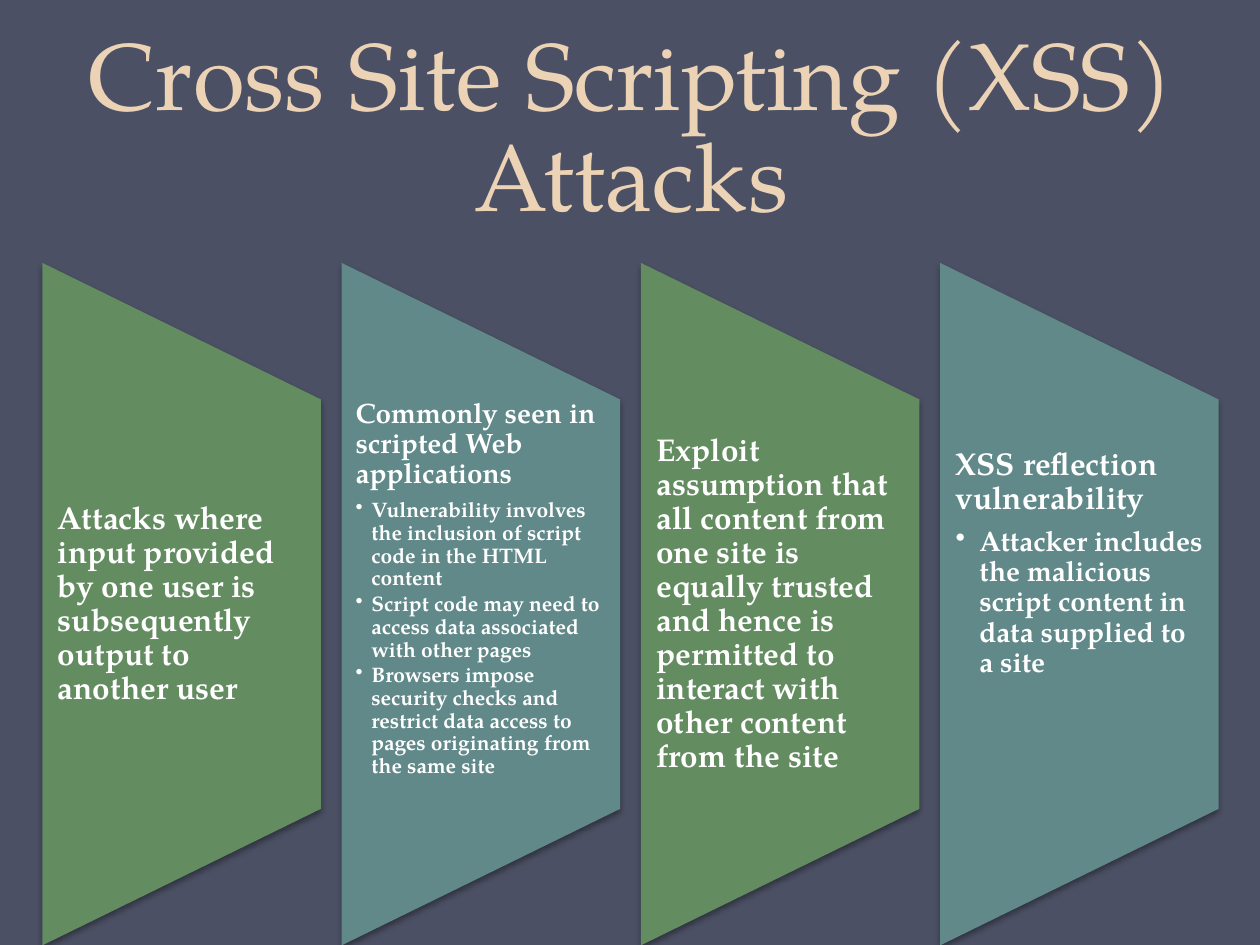
from dataclasses import dataclass

from lxml.etree import SubElement
from pptx import Presentation
from pptx.dml.color import RGBColor
from pptx.enum.shapes import MSO_SHAPE as Preset
from pptx.enum.text import MSO_ANCHOR as Anchor, PP_ALIGN as Align
from pptx.oxml.ns import qn
from pptx.shapes.autoshape import Shape
from pptx.slide import Slide
from pptx.text.text import _Paragraph as Paragraph
from pptx.util import Pt


@dataclass(frozen=True)
class Theme:
    font: str = "TeX Gyre Pagella"
    background: RGBColor = RGBColor(0x4B, 0x50, 0x64)
    title: RGBColor = RGBColor(0xED, 0xD3, 0xB6)
    text: RGBColor = RGBColor(0xFF, 0xFF, 0xFF)
    panels: tuple = (RGBColor(0x64, 0x8C, 0x61), RGBColor(0x61, 0x89, 0x8A))
    title_size: int = 54
    title_leading: int = 58
    large: int = 18
    medium: int = 16
    small: int = 12


@dataclass(frozen=True)
class Panel:
    heading: str
    heading_size: int
    bullets: tuple = ()
    bullet_size: int = 0
    bullet_indent: float = 0
    anchor: Anchor = Anchor.MIDDLE
    side_inset: float = 8.9
    top_inset: float = 0


THEME = Theme()

PANEL_LEFT, PANEL_PITCH, PANEL_WIDTH, PANEL_HEIGHT = 24.2, 171, 159.1, 390
PANEL_MIDDLE = 345.2
TEXT_HEIGHT = 234

PANELS = (
    Panel("Attacks where input provided by one user is subsequently output to another user",
          THEME.large),
    Panel("Commonly seen in scripted Web applications", THEME.medium,
          ("Vulnerability involves the inclusion of script code in the HTML content",
           "Script code may need to access data associated with other pages",
           "Browsers impose security checks and restrict data access to pages "
           "originating from the same site"),
          THEME.small, 9, Anchor.TOP, 8),
    Panel("Exploit assumption that all content from one site is equally trusted and hence "
          "is permitted to interact with other content from the site", THEME.large),
    Panel("XSS reflection vulnerability", THEME.large,
          ("Attacker includes the malicious script content in data supplied to a site",),
          THEME.medium, 13.5, Anchor.TOP, top_inset=28),
)


def format_runs(paragraph: Paragraph, size: float, color: RGBColor, bold: bool) -> None:
    for run in paragraph.runs:
        run.font.name = THEME.font
        run.font.size = Pt(size)
        run.font.bold = bold
        run.font.color.rgb = color


def add_shadow(shape: Shape) -> None:
    effects = SubElement(shape._element.spPr, qn("a:effectLst"))
    shadow = SubElement(effects, qn("a:outerShdw"), blurRad=str(Pt(3.1)),
                        dist=str(Pt(1.8)), dir="5400000", rotWithShape="0")
    color = SubElement(shadow, qn("a:srgbClr"), val="000000")
    SubElement(color, qn("a:alpha"), val="35000")


def add_bullet(paragraph: Paragraph, indent: float) -> None:
    properties = paragraph._p.get_or_add_pPr()
    properties.set("marL", str(Pt(indent)))
    properties.set("indent", str(-Pt(indent)))
    SubElement(properties, qn("a:buChar"), char="•")
    paragraph.level = 1


def format_panel_paragraph(paragraph: Paragraph, size: float, gap: float) -> None:
    paragraph.line_spacing = 0.9
    paragraph.space_after = Pt(round(size * gap, 1))
    format_runs(paragraph, size, THEME.text, True)


def draw_title(slide: Slide, text: str) -> None:
    frame = slide.shapes.add_textbox(Pt(36.7), Pt(9.4), Pt(648), Pt(126)).text_frame
    frame.word_wrap = True
    frame.vertical_anchor = Anchor.BOTTOM
    frame.text = text
    paragraph = frame.paragraphs[0]
    paragraph.alignment = Align.CENTER
    paragraph.line_spacing = Pt(THEME.title_leading)
    format_runs(paragraph, THEME.title_size, THEME.title, False)


def draw_panel(slide: Slide, panel: Panel, left: float, color: RGBColor) -> None:
    shape = slide.shapes.add_shape(
        Preset.FLOWCHART_MANUAL_OPERATION,
        Pt(left + (PANEL_WIDTH - PANEL_HEIGHT) / 2), Pt(PANEL_MIDDLE - PANEL_WIDTH / 2),
        Pt(PANEL_HEIGHT), Pt(PANEL_WIDTH))
    shape.rotation = 270
    shape.fill.solid()
    shape.fill.fore_color.rgb = color
    shape.line.fill.background()
    add_shadow(shape)

    frame = slide.shapes.add_textbox(Pt(left), Pt(PANEL_MIDDLE - TEXT_HEIGHT / 2),
                                     Pt(PANEL_WIDTH), Pt(TEXT_HEIGHT)).text_frame
    frame.word_wrap = True
    frame.vertical_anchor = panel.anchor
    frame.margin_left = frame.margin_right = Pt(panel.side_inset)
    frame.margin_top, frame.margin_bottom = Pt(panel.top_inset), Pt(0)
    frame.text = panel.heading
    format_panel_paragraph(frame.paragraphs[0], panel.heading_size, 0.35)
    for bullet in panel.bullets:
        paragraph = frame.add_paragraph()
        paragraph.text = bullet
        add_bullet(paragraph, panel.bullet_indent)
        format_panel_paragraph(paragraph, panel.bullet_size, 0.15)


def main() -> None:
    presentation = Presentation()
    presentation.slide_width, presentation.slide_height = Pt(720), Pt(540)
    slide = presentation.slides.add_slide(presentation.slide_layouts[6])
    slide.background.fill.solid()
    slide.background.fill.fore_color.rgb = THEME.background
    draw_title(slide, "Cross Site Scripting (XSS) Attacks")
    for index, panel in enumerate(PANELS):
        draw_panel(slide, panel, PANEL_LEFT + index * PANEL_PITCH,
                   THEME.panels[index % len(THEME.panels)])
    presentation.save("out.pptx")


if __name__ == "__main__":
    main()
